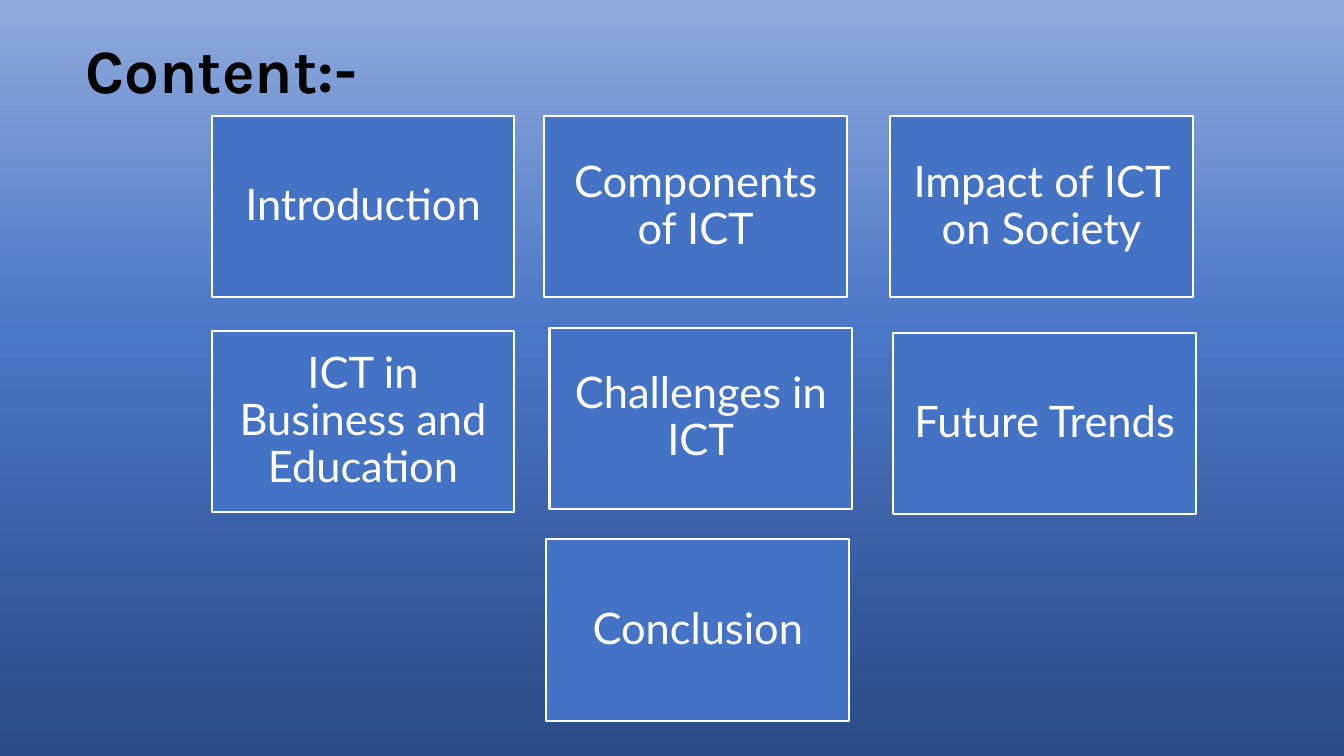
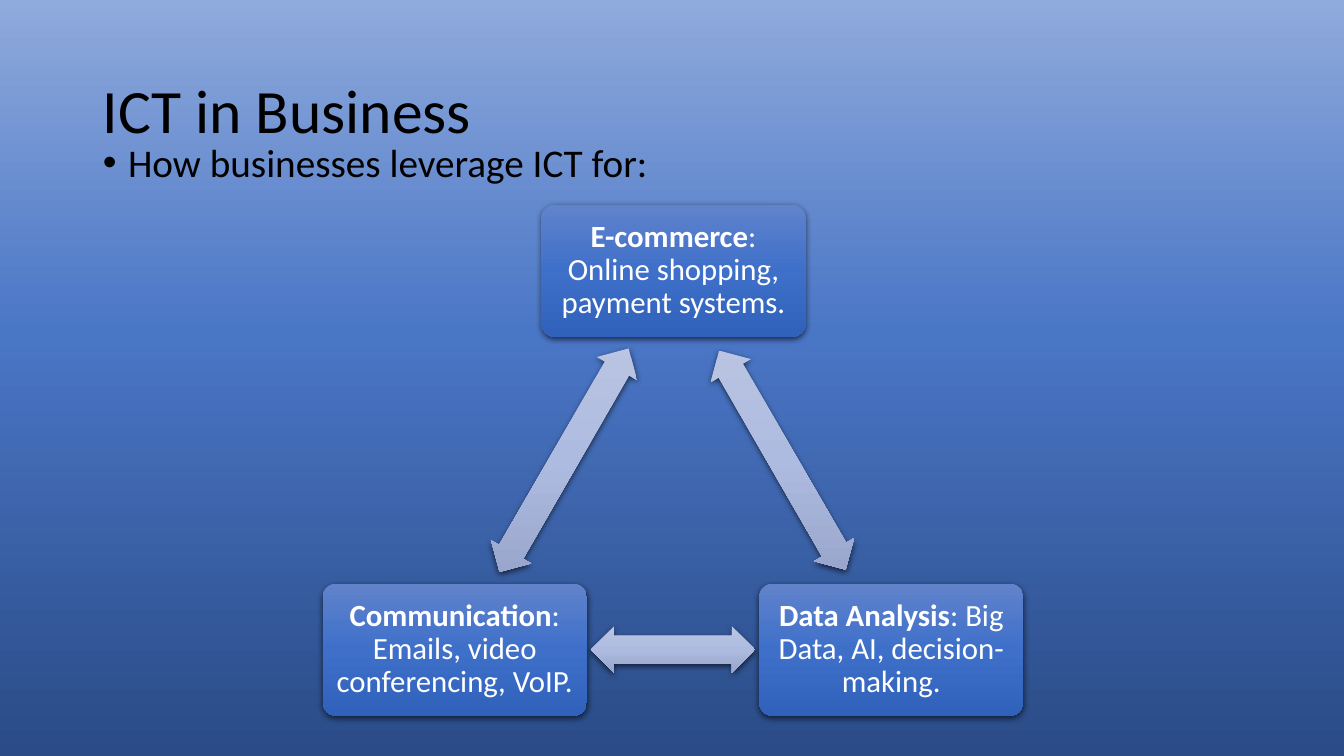
from lxml.etree import SubElement
from pptx import Presentation
from pptx.dml.color import RGBColor
from pptx.enum.shapes import MSO_SHAPE
from pptx.enum.text import MSO_ANCHOR, MSO_AUTO_SIZE, PP_ALIGN
from pptx.oxml.ns import qn
from pptx.util import Inches, Pt

COLORS = {"black": "000000", "white": "FFFFFF", "card": "4472C4"}
BACKDROP = [(0, "2A4B86", 100), (56, "4A76C6", 84), (100, "8FAADC", 100)]
NODE_FILL = [(0, "6183CB", 100), (50, "3E70CA", 100), (100, "3062BB", 100)]
ARROW_FILL = [(0, "BBC5E3", 100), (50, "AEBBE0", 100), (100, "98A4CB", 100)]

CARD_SIZE = (3, 1.8)
CARDS = [
    ("Introduction", 2.1, 1.15),
    ("Components of ICT", 5.4, 1.15),
    ("Impact of ICT on Society", 8.83, 1.15),
    ("ICT in Business and Education", 2.1, 3.28),
    ("Challenges in ICT", 5.45, 3.25),
    ("Future Trends", 8.86, 3.3),
    ("Conclusion", 5.42, 5.35),
]

NODE_SIZE = (2.62, 1.31)
ARROW_HEIGHT = 0.46
NODES = {
    "E-commerce": (": Online shopping, payment systems.", 5.37, 2.03),
    "Data Analysis": (": Big Data, AI, decision-making.", 7.53, 5.79),
    "Communication": (": Emails, video conferencing, VoIP.", 3.2, 5.79),
}
ARROWS = [
    ("E-commerce", "Data Analysis", 2.51, 60),
    ("Data Analysis", "Communication", 1.63, 0),
    ("Communication", "E-commerce", 2.56, 300),
]


def color(name):
    return RGBColor.from_string(COLORS[name])


def add_color(parent, value, opacity):
    tint = SubElement(parent, qn("a:srgbClr"), val=value)
    if opacity < 100:
        SubElement(tint, qn("a:alpha"), val=str(opacity * 1000))


def set_gradient(fill, holder, stops, angle):
    fill.solid()
    solid = holder.find(qn("a:solidFill"))
    gradient = SubElement(holder, qn("a:gradFill"), rotWithShape="0")
    stop_list = SubElement(gradient, qn("a:gsLst"))
    for position, value, opacity in stops:
        stop = SubElement(stop_list, qn("a:gs"), pos=str(position * 1000))
        add_color(stop, value, opacity)
    SubElement(gradient, qn("a:lin"), ang=str(angle * 60000), scaled="0")
    holder.replace(solid, gradient)


def set_backdrop(master):
    fill = master.background.fill
    fill.solid()
    holder = master.element.find(".//" + qn("p:bgPr"))
    set_gradient(fill, holder, BACKDROP, 270)


def add_shadow(shape):
    effects = shape.element.spPr.find(qn("a:effectLst"))
    shadow = SubElement(effects, qn("a:outerShdw"), blurRad=str(Pt(4.5)),
                        dist=str(Pt(1.5)), dir="5400000", rotWithShape="0")
    add_color(shadow, COLORS["black"], 63)


def place(shape, left, top, width, height):
    shape.left, shape.top = Inches(left), Inches(top)
    shape.width, shape.height = Inches(width), Inches(height)


def style_paragraph(para, size, font, ink, align=PP_ALIGN.LEFT):
    para.alignment = align
    para.line_spacing = 0.9
    para.font.size = Pt(size)
    para.font.name = font
    para.font.color.rgb = color(ink)


def set_title(page, text, left, top, font, bold=False):
    title = page.shapes.title
    place(title, left, top, 11.5, 1.45)
    frame = title.text_frame
    frame.text = text
    frame.vertical_anchor = MSO_ANCHOR.MIDDLE
    frame.auto_size = MSO_AUTO_SIZE.NONE
    para = frame.paragraphs[0]
    style_paragraph(para, 44, font, "black")
    para.font.bold = bold


def add_block(page, kind, left, top, width, height):
    shape = page.shapes.add_shape(kind, Inches(left), Inches(top),
                                  Inches(width), Inches(height))
    shape.shadow.inherit = False
    return shape


def add_label(shape, spans, inset, size, font):
    frame = shape.text_frame
    frame.word_wrap = True
    frame.vertical_anchor = MSO_ANCHOR.MIDDLE
    frame.margin_left = frame.margin_right = Inches(inset)
    frame.margin_top = frame.margin_bottom = Inches(inset)
    para = frame.paragraphs[0]
    style_paragraph(para, size, font, "white", PP_ALIGN.CENTER)
    for text, bold in spans:
        span = para.add_run()
        span.text = text
        span.font.bold = bold


def add_card(page, text, left, top):
    card = add_block(page, MSO_SHAPE.RECTANGLE, left, top, *CARD_SIZE)
    card.fill.solid()
    card.fill.fore_color.rgb = color("card")
    card.line.color.rgb = color("white")
    card.line.width = Pt(1.5)
    add_label(card, [(text, False)], 0.13, 31, "Lato")


def add_glossy(page, kind, stops, adjustments, *bounds):
    shape = add_block(page, kind, *bounds)
    set_gradient(shape.fill, shape.element.spPr, stops, 90)
    shape.line.fill.background()
    add_shadow(shape)
    for index, value in enumerate(adjustments):
        shape.adjustments[index] = value
    return shape


def add_node(page, name, detail, left, top):
    node = add_glossy(page, MSO_SHAPE.ROUNDED_RECTANGLE, NODE_FILL, [0.1],
                      left, top, *NODE_SIZE)
    add_label(node, [(name, True), (detail, False)], 0.09, 22, "Calibri")


def add_arrow(page, start, end, length, angle):
    _, start_left, start_top = NODES[start]
    _, end_left, end_top = NODES[end]
    center_x = (start_left + end_left + NODE_SIZE[0]) / 2
    center_y = (start_top + end_top + NODE_SIZE[1]) / 2
    arrow = add_glossy(page, MSO_SHAPE.LEFT_RIGHT_ARROW, ARROW_FILL, [0.6, 0.5],
                       center_x - length / 2, center_y - ARROW_HEIGHT / 2,
                       length, ARROW_HEIGHT)
    arrow.rotation = angle


def set_bullet(page, text):
    body = page.placeholders[1]
    place(body, 0.92, 1.37, 11.5, 4.76)
    frame = body.text_frame
    frame.text = text
    frame.auto_size = MSO_AUTO_SIZE.NONE
    para = frame.paragraphs[0]
    style_paragraph(para, 28, "Calibri", "black")
    para.space_before = Pt(10)
    properties = para._p.get_or_add_pPr()
    properties.set("marL", str(Inches(0.25)))
    properties.set("indent", str(Inches(-0.25)))


def build_content(deck):
    page = deck.slides.add_slide(deck.slide_layouts.get_by_name("Title Only"))
    set_title(page, "Content:-", 0.75, 0, "Karla", bold=True)
    for card in CARDS:
        add_card(page, *card)


def build_business(deck):
    page = deck.slides.add_slide(deck.slide_layouts.get_by_name("Title and Content"))
    set_title(page, "ICT in Business", 0.92, 0.4, "Calibri")
    set_bullet(page, "How businesses leverage ICT for:")
    for name, details in NODES.items():
        add_node(page, name, *details)
    for arrow in ARROWS:
        add_arrow(page, *arrow)


def main():
    deck = Presentation()
    deck.slide_width, deck.slide_height = Inches(13.33), Inches(7.5)
    set_backdrop(deck.slide_master)
    build_content(deck)
    build_business(deck)
    deck.save("out.pptx")


if __name__ == "__main__":
    main()
